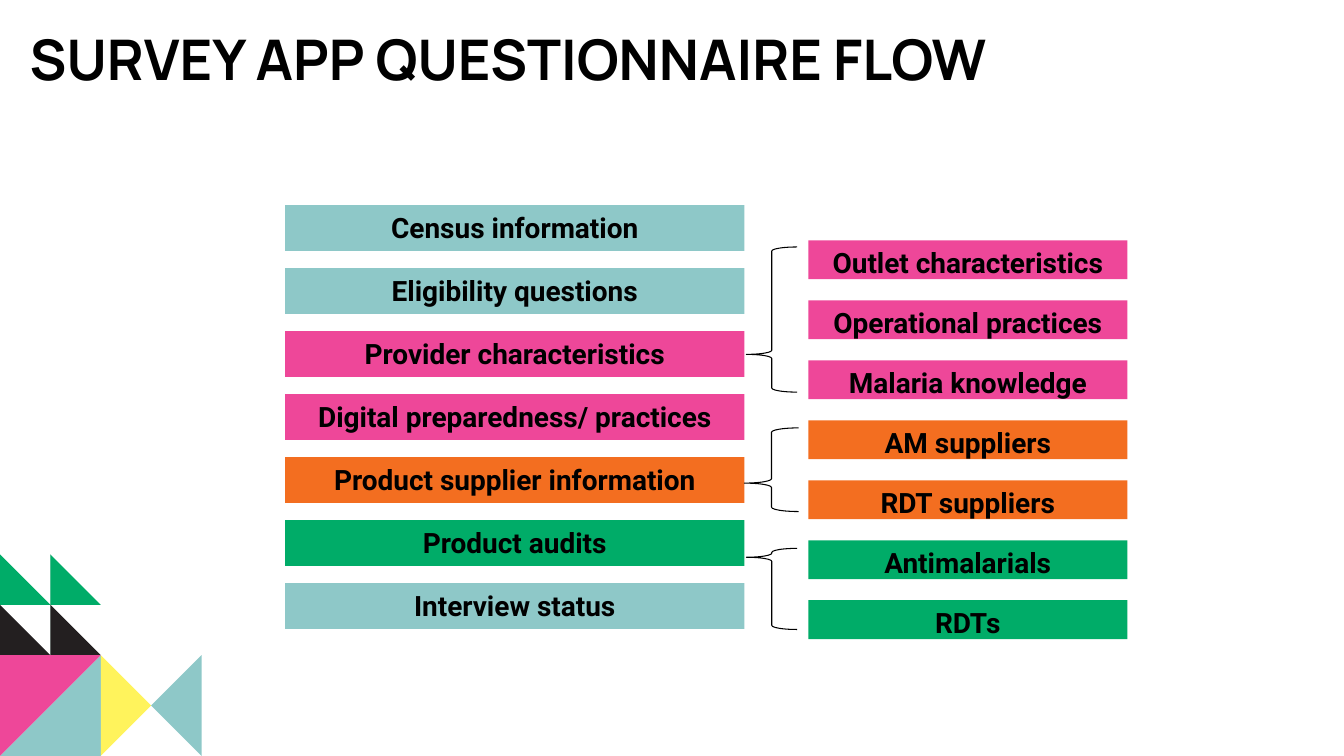
import pptx
import pptx.dml.color
import pptx.enum.shapes
import pptx.enum.text
import pptx.util

Inches = pptx.util.Inches
Pt = pptx.util.Pt
Shape = pptx.enum.shapes.MSO_SHAPE
Anchor = pptx.enum.text.MSO_ANCHOR
Align = pptx.enum.text.PP_ALIGN

TEAL, PINK, ORANGE, GREEN = "8EC8C8", "EE4799", "F36E20", "00AC68"
YELLOW, BLACK, DARK = "FFF35C", "000000", "231F20"


def color(code):
    return pptx.dml.color.RGBColor.from_string(code)


class Painter:
    head = "Manrope"
    body = "Roboto"

    def __init__(self, slide):
        self.slide = slide

    def fill(self, shape, code):
        shape.shadow.inherit = False
        shape.fill.solid()
        shape.fill.fore_color.rgb = color(code)
        shape.line.fill.background()

    def label(self, shape, text, font, size, align, anchor):
        frame = shape.text_frame
        frame.word_wrap = True
        frame.vertical_anchor = anchor
        frame.margin_left = frame.margin_right = Inches(0.2)
        frame.margin_top = frame.margin_bottom = Inches(0.1)
        para = frame.paragraphs[0]
        para.alignment = align
        run = para.add_run()
        run.text = text
        run.font.name = font
        run.font.size = Pt(size)
        run.font.bold = True
        run.font.color.rgb = color(BLACK)

    def title(self, text, *area):
        box = self.slide.shapes.add_textbox(*map(Inches, area))
        self.label(box, text, self.head, 80, Align.LEFT, Anchor.MIDDLE)

    def bar(self, text, code, *area):
        box = self.slide.shapes.add_shape(Shape.RECTANGLE, *map(Inches, area))
        self.fill(box, code)
        self.label(box, text, self.body, 40, Align.CENTER, Anchor.TOP)

    def brace(self, point, *area):
        shape = self.slide.shapes.add_shape(Shape.LEFT_BRACE, *map(Inches, area))
        shape.shadow.inherit = False
        shape.adjustments[0] = 0.08
        shape.adjustments[1] = point
        shape.fill.background()
        shape.line.color.rgb = color(BLACK)
        shape.line.width = Pt(1.5)

    def wedge(self, code, *points):
        outline = self.slide.shapes.build_freeform(*points[0], scale=Inches(1))
        outline.add_line_segments(points[1:], close=True)
        self.fill(outline.convert_to_shape(), code)


def motif(paint):
    step = 0.61
    for row in range(3):
        for col in range(3):
            left, top = col * step, 11.33 + row * step
            code = DARK if (row + col) % 2 else GREEN
            paint.wedge(code, (left, top), (left, top + step), (left + step, top + step))
    paint.wedge(TEAL, (1.83, 13.17), (1.83, 15), (0, 15))
    paint.wedge(PINK, (0, 13.17), (1.83, 13.17), (0, 15))
    paint.wedge(YELLOW, (1.83, 13.2), (2.73, 14.1), (1.83, 15))
    paint.wedge(TEAL, (3.64, 13.2), (2.73, 14.1), (3.64, 15))


def main():
    deck = pptx.Presentation()
    deck.slide_width, deck.slide_height = Inches(26.67), Inches(15)
    paint = Painter(deck.slides.add_slide(deck.slide_layouts[6]))

    motif(paint)
    paint.title("SURVEY APP QUESTIONNAIRE FLOW", 0.39, 0.47, 22.44, 1.38)

    stages = [
        ("Census information", TEAL),
        ("Eligibility questions", TEAL),
        ("Provider characteristics", PINK),
        ("Digital preparedness/ practices", PINK),
        ("Product supplier information", ORANGE),
        ("Product audits", GREEN),
        ("Interview status", TEAL),
    ]
    for row, (text, code) in enumerate(stages):
        paint.bar(text, code, 5.66, 4.07 + row * 1.25, 9.11, 0.91)

    details = [
        ("Outlet characteristics", PINK),
        ("Operational practices", PINK),
        ("Malaria knowledge", PINK),
        ("AM suppliers", ORANGE),
        ("RDT suppliers", ORANGE),
        ("Antimalarials", GREEN),
        ("RDTs", GREEN),
    ]
    for row, (text, code) in enumerate(details):
        paint.bar(text, code, 16.04, 4.77 + row * 1.19, 6.33, 0.77)

    paint.brace(0.74, 14.81, 4.9, 1.01, 2.88)
    paint.brace(0.66, 14.77, 8.49, 1.08, 1.66)
    paint.brace(0.11, 14.81, 10.88, 1.01, 1.61)

    deck.save("out.pptx")


if __name__ == "__main__":
    main()
